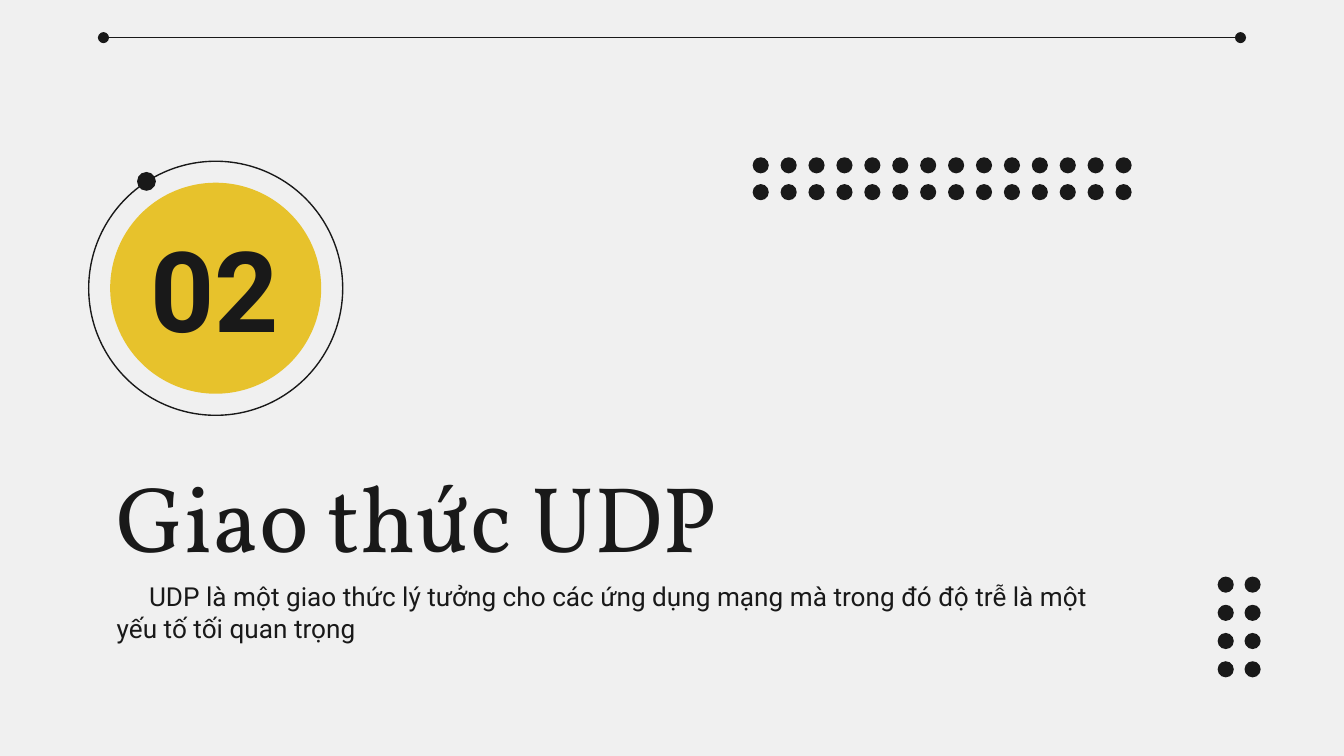
from dataclasses import dataclass

from lxml import etree
from pptx import Presentation
from pptx.dml.color import RGBColor
from pptx.enum.shapes import MSO_CONNECTOR, MSO_SHAPE
from pptx.enum.text import MSO_ANCHOR, PP_ALIGN
from pptx.oxml.ns import qn
from pptx.util import Inches, Pt

OVAL = MSO_SHAPE.OVAL
STRAIGHT = MSO_CONNECTOR.STRAIGHT
TOP, MIDDLE = MSO_ANCHOR.TOP, MSO_ANCHOR.MIDDLE
LEFT, CENTER = PP_ALIGN.LEFT, PP_ALIGN.CENTER


@dataclass(frozen=True)
class Theme:
    paper: RGBColor = RGBColor.from_string("F0F0F0")
    ink: RGBColor = RGBColor.from_string("191919")
    accent: RGBColor = RGBColor.from_string("E7C22C")
    heading_font: str = "Vollkorn"
    body_font: str = "Roboto"
    heading_size: int = 50
    number_size: int = 60
    body_size: int = 14
    rule_width: float = 0.75


THEME = Theme()


def add_circle(shapes, left, top, diameter, fill=None):
    circle = shapes.add_shape(
        OVAL, Inches(left), Inches(top), Inches(diameter), Inches(diameter)
    )
    circle.shadow.inherit = False
    if fill is None:
        circle.fill.background()
        circle.line.color.rgb = THEME.ink
        circle.line.width = Pt(THEME.rule_width)
    else:
        circle.fill.solid()
        circle.fill.fore_color.rgb = fill
        circle.line.fill.background()


def add_dot_grid(slide, left, top, columns, rows, column_gap, row_gap):
    dots = slide.shapes.add_group_shape().shapes
    for row in range(rows):
        for column in range(columns):
            add_circle(dots, left + column * column_gap, top + row * row_gap,
                       0.12, THEME.ink)


def add_text(slide, text, box, font, anchor=MIDDLE, align=LEFT, indent=0):
    frame = slide.shapes.add_textbox(*map(Inches, box)).text_frame
    frame_format = {"word_wrap": True, "vertical_anchor": anchor}
    for side in ("left", "top", "right", "bottom"):
        frame_format[f"margin_{side}"] = Inches(0.1)
    for name, value in frame_format.items():
        setattr(frame, name, value)
    paragraph = frame.paragraphs[0]
    paragraph.alignment = align
    if indent:
        properties = paragraph._p.get_or_add_pPr()
        properties.set("marL", "0")
        properties.set("indent", str(Inches(indent)))
    run = paragraph.add_run()
    run.text = text
    for name, value in font.items():
        setattr(run.font, name, value)
    run.font.color.rgb = THEME.ink


def add_dotted_end_rule(slide, left, right, y):
    rule = slide.shapes.add_connector(
        STRAIGHT, Inches(left), Inches(y), Inches(right), Inches(y)
    )
    rule.line.color.rgb = THEME.ink
    rule.line.width = Pt(THEME.rule_width)
    outline = rule.line._get_or_add_ln()
    for end in ("a:headEnd", "a:tailEnd"):
        etree.SubElement(outline, qn(end), type="oval")
    etree.SubElement(rule._element.spPr, qn("a:effectLst"))


def add_number_badge(slide):
    orbit = slide.shapes.add_group_shape().shapes
    add_circle(orbit, 0.66, 1.2, 1.89)
    add_circle(orbit, 1.02, 1.28, 0.14, THEME.ink)
    add_circle(slide.shapes, 0.82, 1.36, 1.57, THEME.accent)
    add_text(slide, "02", (0.8, 1.68, 1.6, 0.92),
             {"name": THEME.body_font, "size": Pt(THEME.number_size), "bold": True},
             align=CENTER)


def main():
    deck = Presentation()
    deck.slide_width, deck.slide_height = Inches(10), Inches(10 * 9 / 16)
    slide = deck.slides.add_slide(deck.slide_layouts[6])
    slide.background.fill.solid()
    slide.background.fill.fore_color.rgb = THEME.paper

    add_number_badge(slide)
    add_text(slide, "Giao thức UDP", (0.77, 3.37, 6.74, 0.92),
             {"name": THEME.heading_font, "size": Pt(THEME.heading_size)})
    add_text(slide,
             "UDP là một giao thức lý tưởng cho các ứng dụng mạng "
             "mà trong đó độ trễ là một yếu tố tối quan trọng",
             (0.77, 4.22, 7.65, 0.41),
             {"name": THEME.body_font, "size": Pt(THEME.body_size)},
             anchor=TOP, indent=0.24)
    add_dot_grid(slide, 5.6, 1.17, columns=14, rows=2,
                 column_gap=2.7 / 13, row_gap=0.2)
    add_dotted_end_rule(slide, 0.77, 9.23, 0.28)
    add_dot_grid(slide, 9.06, 4.29, columns=2, rows=4,
                 column_gap=0.2, row_gap=0.21)
    deck.save("out.pptx")


if __name__ == "__main__":
    main()
